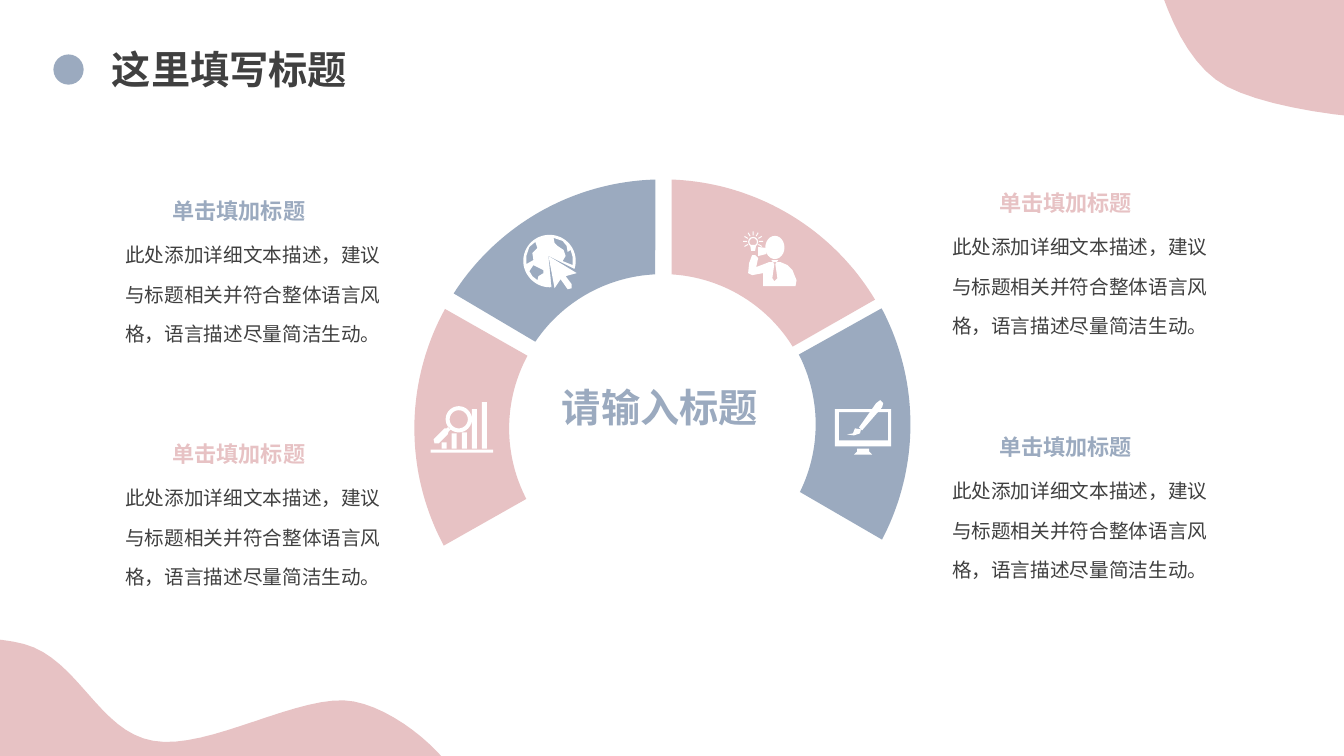
from math import cos, radians, sin

from lxml import etree
from pptx import Presentation
from pptx.dml.color import RGBColor
from pptx.enum.shapes import MSO_SHAPE
from pptx.enum.text import MSO_ANCHOR, MSO_AUTO_SIZE, PP_ALIGN
from pptx.oxml.ns import qn
from pptx.util import Inches, Pt

OVAL, RECTANGLE, DONUT = MSO_SHAPE.OVAL, MSO_SHAPE.RECTANGLE, MSO_SHAPE.DONUT
TOP, MIDDLE = MSO_ANCHOR.TOP, MSO_ANCHOR.MIDDLE
CENTER = PP_ALIGN.CENTER
NO_AUTOFIT = MSO_AUTO_SIZE.NONE
TITLE_ONLY = 5

FONT = "Noto Sans CJK SC"
BLUE = RGBColor(0x9B, 0xAA, 0xBF)
PINK = RGBColor(0xE7, 0xC2, 0xC4)
DARK = RGBColor(0x40, 0x40, 0x40)
WHITE = RGBColor(0xFF, 0xFF, 0xFF)

HEADING = "单击填加标题"
BODY = "此处添加详细文本描述，建议与标题相关并符合整体语言风格，语言描述尽量简洁生动。"
TITLE_STYLE = {"size": Pt(28), "bold": True}
HEADING_STYLE = {"size": Pt(15.8), "bold": True}
BODY_STYLE = {"size": Pt(14), "bold": False}

CORNER_BLOB = [
    (11.26, -0.91), (11.4, -0.62), (11.54, 0.53), (12.17, 0.86),
    (12.81, 1.19), (14.54, 1.31), (15.06, 1.05), (15.58, 0.79),
    (15.67, -0.35), (15.3, -0.72), (14.93, -1.1), (13.49, -1.16),
    (12.83, -1.19), (12.17, -1.22), (11.59, -0.93), (11.32, -0.89),
    (11.06, -0.84), (11.12, -1.2), (11.26, -0.91)]
WAVE_BLOB = [
    (-1.7, 6.49), (-1.37, 6.36), (-0.29, 6.25), (0.24, 6.39),
    (0.78, 6.54), (0.98, 7.26), (1.52, 7.35), (2.07, 7.45),
    (3, 6.86), (3.51, 6.96), (4.03, 7.06), (4.65, 7.68),
    (4.6, 7.95), (4.56, 8.22), (4.28, 8.69), (3.22, 8.55),
    (2.16, 8.42), (-0.94, 7.48), (-1.75, 7.14), (-2.57, 6.79),
    (-2.03, 6.61), (-1.7, 6.49)]

RING_X, OUTER_RADIUS, INNER_RADIUS = 6.57, 2.46, 1.52
RING_SEGMENTS = [
    (BLUE, 4.21, (-27.7, 27.9), (-26.2, 27.1)),
    (PINK, 4.24, (31, 87.9), (31.8, 86.6)),
    (BLUE, 4.24, (91.6, 147.3), (92.7, 146)),
    (PINK, 4.25, (151.2, 208.2), (151.7, 207.4))]
TEXT_BLOCKS = [(1.1, 1.91, BLUE), (1.1, 4.32, PINK),
               (9.3, 1.83, PINK), (9.3, 4.25, BLUE)]

GLASS_HANDLE = [(4.3, 4.36), (4.41, 4.25), (4.43, 4.25), (4.45, 4.23),
                (4.47, 4.26), (4.45, 4.28), (4.44, 4.31), (4.35, 4.4),
                (4.31, 4.4)]
CONTINENTS = [
    [(5.49, 2.36), (5.5, 2.41), (5.53, 2.44), (5.59, 2.48), (5.61, 2.54),
     (5.58, 2.59), (5.68, 2.63), (5.68, 2.55), (5.66, 2.48), (5.63, 2.5),
     (5.62, 2.44), (5.58, 2.39)],
    [(5.31, 2.4), (5.33, 2.46), (5.28, 2.51), (5.29, 2.58), (5.22, 2.62),
     (5.22, 2.54), (5.25, 2.45)],
    [(5.25, 2.69), (5.29, 2.63), (5.33, 2.65), (5.39, 2.68), (5.39, 2.71),
     (5.34, 2.74), (5.33, 2.78), (5.28, 2.74)]]
GLOBE_FACE = [(5.19, 2.59), (5.19, 2.44), (5.31, 2.33), (5.45, 2.33),
              (5.59, 2.33), (5.71, 2.44), (5.71, 2.59), (5.71, 2.73),
              (5.59, 2.85), (5.45, 2.85), (5.31, 2.85), (5.19, 2.73),
              (5.19, 2.59)]
POINTER = [(5.44, 2.54), (5.72, 2.71), (5.61, 2.74), (5.67, 2.82),
           (5.67, 2.86), (5.63, 2.87), (5.56, 2.77), (5.5, 2.86)]
POINTER_GAP = [(5.44, 2.54), (5.7, 2.67), (5.72, 2.71), (5.66, 2.76),
               (5.62, 2.8), (5.5, 2.88), (5.47, 2.85)]
PERSON = [(7.49, 2.53), (7.52, 2.56), (7.5, 2.65), (7.63, 2.6),
          (7.74, 2.6), (7.81, 2.63), (7.86, 2.68), (7.9, 2.78),
          (7.89, 2.84), (7.57, 2.84), (7.57, 2.71), (7.46, 2.73),
          (7.42, 2.71), (7.43, 2.61), (7.46, 2.53)]
NECKTIE = [(7.65, 2.58), (7.72, 2.58), (7.69, 2.62), (7.71, 2.76),
           (7.68, 2.79), (7.66, 2.76), (7.68, 2.62)]
HAND = [(7.52, 2.45), (7.6, 2.46), (7.6, 2.52), (7.52, 2.54)]
BULB_BASE = [(7.44, 2.43), (7.5, 2.43), (7.49, 2.49), (7.45, 2.49)]
BRUSH_HANDLE = [(8.52, 4.24), (8.69, 4), (8.73, 3.97), (8.76, 4),
                (8.75, 4.04), (8.55, 4.27)]
BRUSH_TIP = [(8.4, 4.31), (8.46, 4.3), (8.48, 4.25), (8.54, 4.26),
             (8.53, 4.3), (8.47, 4.32)]
MONITOR_STAND = [(8.5, 4.45), (8.62, 4.45), (8.62, 4.48), (8.65, 4.51),
                 (8.47, 4.51), (8.5, 4.48)]
SCREEN_FRAME = [(8.28, 4.06), (8.84, 4.06), (8.84, 4.43), (8.28, 4.43)]
SCREEN = [(8.32, 4.09), (8.81, 4.09), (8.81, 4.37), (8.32, 4.37)]


def paint(shape, color):
    """Fill a shape with one colour, without line or shadow."""
    shape.shadow.inherit = False
    shape.fill.solid()
    shape.fill.fore_color.rgb = color
    shape.line.fill.background()


def add_preset(slide, preset, box, color):
    """Add a plain preset shape; box is left, top, width, height."""
    shape = slide.shapes.add_shape(preset, *map(Inches, box))
    paint(shape, color)
    return shape


def add_outline(slide, contours, color):
    """Add one freeform made of closed contours."""
    contours = [[(Inches(x), Inches(y)) for x, y in c] for c in contours]
    builder = slide.shapes.build_freeform(*contours[0][0], scale=1.0)
    for index, contour in enumerate(contours):
        if index:
            builder.move_to(*contour[0])
        builder.add_line_segments(contour[1:], close=True)
    paint(builder.convert_to_shape(), color)


def curve(controls, steps=16):
    """Return points along a chain of cubic Bezier curves."""
    points = [controls[0]]
    for start in range(0, len(controls) - 1, 3):
        piece = controls[start:start + 4]
        for step in range(1, steps + 1):
            t = step / steps
            weights = ((1 - t) ** 3, 3 * t * (1 - t) ** 2,
                       3 * t * t * (1 - t), t ** 3)
            points.append(tuple(sum(w * p[axis] for w, p in zip(weights, piece))
                                for axis in (0, 1)))
    return points


def arc(center_x, center_y, radius, first, last, steps=40):
    """Return points along a circular arc, angles in degrees."""
    angles = [radians(first + (last - first) * i / steps)
              for i in range(steps + 1)]
    return [(center_x + radius * cos(a), center_y - radius * sin(a))
            for a in angles]


def rectangle(left, top, right, bottom):
    """Return the corners of a rectangle."""
    return [(left, top), (right, top), (right, bottom), (left, bottom)]


def write(shape, text, box, color, style, anchor=MIDDLE, margin=0, spacing=1.0):
    """Place a text shape and format its single paragraph."""
    places = dict(zip(("left", "top", "width", "height"), map(Inches, box)))
    for name, value in places.items():
        setattr(shape, name, value)
    frame = shape.text_frame
    frame.text = text
    values = {"word_wrap": True, "auto_size": NO_AUTOFIT,
              "vertical_anchor": anchor}
    for side in ("left", "right", "top", "bottom"):
        values["margin_" + side] = Inches(margin / 2 if side in ("top", "bottom")
                                          else margin)
    for name, value in values.items():
        setattr(frame, name, value)
    paragraph = frame.paragraphs[0]
    paragraph.alignment = CENTER
    paragraph.line_spacing = spacing
    font = paragraph.runs[0].font
    font.color.rgb = color
    for name, value in {"name": FONT, **style}.items():
        setattr(font, name, value)
    properties = paragraph.runs[0]._r.get_or_add_rPr()
    etree.SubElement(properties, qn("a:ea")).set("typeface", FONT)


def add_text(slide, text, box, *arguments, **options):
    """Add a formatted text box."""
    shape = slide.shapes.add_textbox(*map(Inches, box))
    write(shape, text, box, *arguments, **options)


def add_chart_icon(slide):
    """Draw the bars and the magnifying glass."""
    bars = [rectangle(4.38 + i * 0.1, top, 4.43 + i * 0.1, 4.45)
            for i, top in enumerate((4.39, 4.3, 4.29, 4.06, 3.99))]
    lens = [arc(4.55, 4.16, radius, 0, 360) for radius in (0.13, 0.09)]
    base = rectangle(4.27, 4.46, 4.89, 4.49)
    add_outline(slide, [base, *bars, *lens, GLASS_HANDLE], WHITE)


def add_globe_icon(slide):
    """Draw the globe and the pointer."""
    add_outline(slide, [curve(GLOBE_FACE), *CONTINENTS], WHITE)
    add_outline(slide, [POINTER_GAP], BLUE)
    add_outline(slide, [POINTER], WHITE)


def add_person_icon(slide):
    """Draw the person with the light bulb."""
    add_outline(slide, [PERSON, NECKTIE], WHITE)
    add_outline(slide, [HAND], WHITE)
    add_preset(slide, OVAL, (7.59, 2.34, 0.19, 0.23), WHITE)
    bulb = add_preset(slide, DONUT, (7.42, 2.35, 0.1, 0.1), WHITE)
    bulb.adjustments[0] = 0.12
    add_outline(slide, [BULB_BASE], WHITE)
    for angle in range(-30, 240, 30):
        x, y = 7.47 + 0.08 * cos(radians(angle)), 2.4 - 0.08 * sin(radians(angle))
        ray = add_preset(slide, RECTANGLE, (x - 0.02, y - 0.01, 0.04, 0.01), WHITE)
        ray.rotation = -angle


def add_monitor_icon(slide):
    """Draw the monitor and the brush."""
    add_outline(slide, [SCREEN_FRAME, SCREEN], WHITE)
    for outline in (MONITOR_STAND, BRUSH_HANDLE, BRUSH_TIP):
        add_outline(slide, [outline], WHITE)


def main():
    """Build the slide and save it."""
    presentation = Presentation()
    presentation.slide_width = Inches(13.33)
    presentation.slide_height = Inches(7.5)
    slide = presentation.slides.add_slide(presentation.slide_layouts[TITLE_ONLY])
    for blob in (CORNER_BLOB, WAVE_BLOB):
        add_outline(slide, [curve(blob)], PINK)
    write(slide.shapes.title, "这里填写标题", (0.75, 0.4, 3.05, 0.57), DARK,
          TITLE_STYLE, margin=0.1)
    add_preset(slide, OVAL, (0.53, 0.54, 0.3, 0.3), BLUE)
    for color, center_y, outer, inner in RING_SEGMENTS:
        outline = (arc(RING_X, center_y, OUTER_RADIUS, *outer)
                   + arc(RING_X, center_y, INNER_RADIUS, *reversed(inner)))
        add_outline(slide, [outline], color)
    for add_icon in (add_chart_icon, add_person_icon, add_globe_icon,
                     add_monitor_icon):
        add_icon(slide)
    add_text(slide, "请输入标题", (5.46, 3.75, 2.17, 0.57), BLUE, TITLE_STYLE,
             margin=0.1)
    for left, top, color in TEXT_BLOCKS:
        add_text(slide, BODY, (left, top + 0.3, 2.82, 1.23), DARK, BODY_STYLE,
                 anchor=TOP, margin=0.1, spacing=Pt(28))
        add_text(slide, HEADING, (left + 0.37, top, 1.8, 0.3), color,
                 HEADING_STYLE, anchor=TOP, spacing=Pt(22.5))
    presentation.save("out.pptx")


if __name__ == "__main__":
    main()
